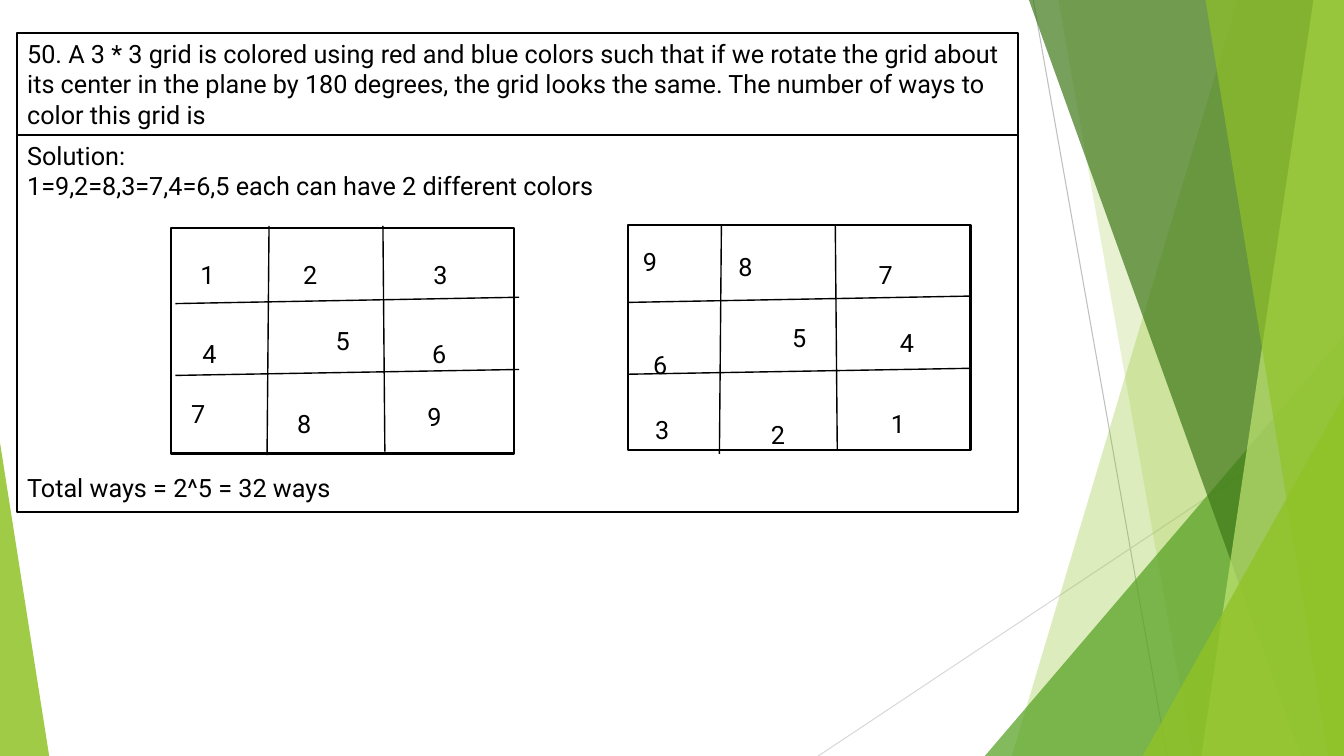
"""Build the slide on colouring a 3 * 3 grid with half-turn symmetry."""
from lxml.etree import SubElement
from pptx import Presentation
from pptx.dml.color import RGBColor
from pptx.enum.shapes import MSO_CONNECTOR as Connector, MSO_SHAPE as Shape
from pptx.enum.text import MSO_ANCHOR as Anchor, MSO_AUTO_SIZE as AutoSize, PP_ALIGN as Align
from pptx.oxml.ns import qn
from pptx.util import Cm, Pt

WIDTH, HEIGHT = 33.87, 19.05
BLACK, WHITE = "000000", "FFFFFF"
QUESTION = ("50. A 3 * 3 grid is colored using red and blue colors such that if we rotate "
            "the grid about its center in the plane by 180 degrees, the grid looks the same. "
            "The number of ways to color this grid is")
SOLUTION = ["Solution:", "1=9,2=8,3=7,4=6,5 each can have 2 different colors",
            "Total ways = 2^5 = 32 ways"]
GRID_GAP = 194
QUESTION_BOX = (0.43, 0.84, 25.22, 2.57)
SOLUTION_BOX = (0.43, 3.41, 25.22, 9.5)

RAYS = [(26.04, 0, 29.41, HEIGHT, "BFBFBF"), (WIDTH, 10.24, 20.62, HEIGHT, "D9D9D9")]
FACETS = [
    ("band", (31.19, 25.5), "90C226", 30),
    ("band", (26.67, 30.05), "90C226", 20),
    ("wedge", (24.82, 8.46, 9.05, 1), "54A021", 72),
    ("band", (25.93, 32.79), "3F7819", 70),
    ("band", (33.1, 30.28), "C0E474", 70),
    ("band", (30.38, 33.48), "90C226", 65),
    ("wedge", (28.8, 9.98, 5.07, 1), "90C226", 80),
    ("wedge", (0, 11.15, 1.24, 0), "90C226", 85),
]

GRID_SIZE = (8.64, 5.69)
RULES = [(2.36, 0, 2.31, 5.78), (5.23, 0, 5.28, 5.69),
         (0, 1.96, 8.66, 1.8), (0, 3.77, 8.66, 3.62)]
GRIDS = [
    {"corner": (4.32, 5.74), "rules": (4.42, 5.69), "digits": [
        ("1", 4.8, 6.4), ("2", 7.39, 6.4), ("3", 10.67, 6.4),
        ("4", 4.85, 8.41), ("6", 10.64, 8.41),
        ("7", 4.57, 9.91), ("8", 7.24, 10.16), ("9", 10.52, 9.98)]},
    {"corner": (15.82, 5.66), "rules": (15.82, 5.66), "digits": [
        ("9", 15.95, 6.07), ("8", 18.36, 6.2), ("7", 21.89, 6.4),
        ("6", 16.21, 8.69), ("4", 22.43, 8.13),
        ("3", 16.26, 10.31), ("2", 19.18, 10.44), ("1", 22.2, 10.16)]},
]


def color(code):
    return RGBColor.from_string(code)


def lengths(values):
    return [Cm(value) for value in values]


def outline(shape):
    shape.fill.solid()
    shape.fill.fore_color.rgb = color(WHITE)
    shape.line.color.rgb = color(BLACK)
    shape.line.width = Pt(1.5)


def write(shape, lines, align=Align.LEFT, anchor=Anchor.TOP, wrap=True):
    frame = shape.text_frame
    frame.text = "\n".join(lines)
    frame.word_wrap = wrap
    frame.auto_size = AutoSize.NONE
    frame.vertical_anchor = anchor
    for para in frame.paragraphs:
        para.alignment = align
        para.space_before = Pt(0)
        for span in para.runs:
            span.font.name = "Roboto"
            span.font.size = Pt(18)
            span.font.color.rgb = color(BLACK)


def fill_placeholder(box, place, lines):
    box.left, box.top, box.width, box.height = lengths(place)
    outline(box)
    write(box, lines)


def add_line(page, ends, code, points):
    line = page.shapes.add_connector(Connector.STRAIGHT, *lengths(ends))
    line.line.color.rgb = color(code)
    line.line.width = Pt(points)
    SubElement(line._element.spPr, qn("a:effectLst"))


def add_facet(page, kind, place, code, opacity):
    if kind == "band":
        top, bottom = place
        corners = [(top, 0), (WIDTH, 0), (WIDTH, HEIGHT), (bottom, HEIGHT)]
        first, *others = [lengths(corner) for corner in corners]
        builder = page.shapes.build_freeform(*first)
        builder.add_line_segments(others)
        facet = builder.convert_to_shape()
    else:
        left, top, width, apex = place
        facet = page.shapes.add_shape(
            Shape.ISOSCELES_TRIANGLE, *lengths((left, top, width, HEIGHT - top)))
        facet.adjustments[0] = apex
    facet.shadow.inherit = False
    facet.fill.solid()
    facet.fill.fore_color.rgb = color(code)
    facet.line.fill.background()
    tint = facet._element.spPr.find(qn("a:solidFill"))[0]
    SubElement(tint, qn("a:alpha"), val=str(opacity * 1000))


def add_grid(page, grid):
    square = page.shapes.add_shape(Shape.RECTANGLE, *lengths(grid["corner"] + GRID_SIZE))
    square.shadow.inherit = False
    outline(square)
    write(square, ["5"], Align.CENTER, Anchor.MIDDLE)
    left, top = grid["rules"]
    for x1, y1, x2, y2 in RULES:
        add_line(page, (left + x1, top + y1, left + x2, top + y2), BLACK, 1)
    for digit, x, y in grid["digits"]:
        label = page.shapes.add_textbox(*lengths((x, y, 0.86, 1.02)))
        write(label, [digit], wrap=False)


def main():
    deck = Presentation()
    deck.slide_width, deck.slide_height = lengths((WIDTH, HEIGHT))
    page = deck.slides.add_slide(deck.slide_layouts[1])
    for *ends, code in RAYS:
        add_line(page, ends, code, 0.75)
    for facet in FACETS:
        add_facet(page, *facet)
    fill_placeholder(page.shapes.title, QUESTION_BOX, [QUESTION])
    body = page.placeholders[1]
    fill_placeholder(body, SOLUTION_BOX, SOLUTION)
    for para in body.text_frame.paragraphs:
        settings = para._p.get_or_add_pPr()
        settings.set("marL", "0")
        settings.set("indent", "0")
        SubElement(settings, qn("a:buNone"))
    body.text_frame.paragraphs[-1].space_before = Pt(GRID_GAP)
    for grid in GRIDS:
        add_grid(page, grid)
    deck.save("out.pptx")


if __name__ == "__main__":
    main()
